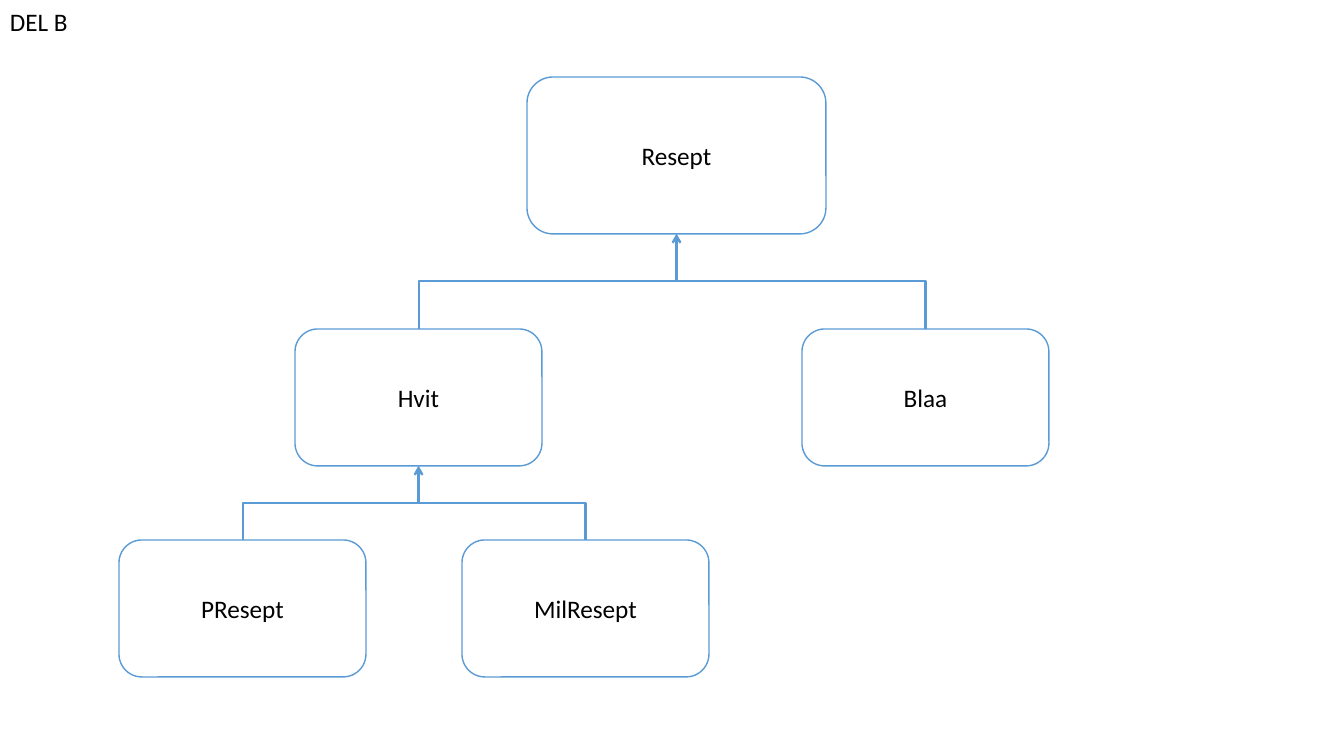
import pptx
import pptx.dml.color
import pptx.enum.shapes
import pptx.enum.text
import pptx.oxml
import pptx.oxml.ns
import pptx.util
from lxml import etree

PX = 914400 / 100.8
COLORS = {"fill": "FFFFFF", "line": "5B9BD5", "text": "000000"}
TOP, BOTTOM = 0, 2


def emu(px):
    return pptx.util.Emu(round(px * PX))


def write_label(frame, label):
    frame.text = label
    font = frame.paragraphs[0].runs[0].font
    font.name = "Calibri"
    font.size = pptx.util.Pt(18)
    font.color.rgb = pptx.dml.color.RGBColor.from_string(COLORS["text"])


deck = pptx.Presentation()
deck.slide_width, deck.slide_height = emu(1344), emu(756)
page = deck.slides.add_slide(deck.slide_layouts[6])
line_color = pptx.dml.color.RGBColor.from_string(COLORS["line"])

# Class boxes: name, left, top, width, height
classes = [
    ("Resept", 527, 77, 299, 157),
    ("PResept", 119, 540, 247, 137),
    ("Hvit", 295, 329, 247, 137),
    ("Blaa", 802, 329, 247, 137),
    ("MilResept", 462, 540, 247, 137),
]
boxes = {}
for name, left, top, width, height in classes:
    box = page.shapes.add_shape(
        pptx.enum.shapes.MSO_SHAPE.ROUNDED_RECTANGLE,
        emu(left), emu(top), emu(width), emu(height))
    box.shadow.inherit = False
    box.fill.solid()
    box.fill.fore_color.rgb = pptx.dml.color.RGBColor.from_string(COLORS["fill"])
    box.line.color.rgb = line_color
    box.line.width = pptx.util.Pt(1)
    write_label(box.text_frame, name)
    box.text_frame.vertical_anchor = pptx.enum.text.MSO_ANCHOR.MIDDLE
    box.text_frame.paragraphs[0].alignment = pptx.enum.text.PP_ALIGN.CENTER
    boxes[name] = box

# Inheritance arrows: subclass, superclass, arrowhead
arrows = [
    ("Blaa", "Resept", "triangle"),
    ("Hvit", "Resept", "arrow"),
    ("MilResept", "Hvit", "triangle"),
    ("PResept", "Hvit", "arrow"),
]
for child_name, parent_name, head in arrows:
    child, parent = boxes[child_name], boxes[parent_name]
    start_x, start_y = child.left + child.width // 2, child.top
    end_x, end_y = parent.left + parent.width // 2, parent.top + parent.height
    arrow = page.shapes.add_connector(
        pptx.enum.shapes.MSO_CONNECTOR.ELBOW, start_x, start_y, end_x, end_y)
    arrow.begin_connect(child, TOP)
    arrow.end_connect(parent, BOTTOM)

    # A vertical elbow is a horizontal one turned by a quarter about its centre
    rise, run = start_y - end_y, abs(start_x - end_x)
    arrow.left = (start_x + end_x - rise) // 2
    arrow.top = (start_y + end_y - run) // 2
    arrow.width, arrow.height = rise, run
    from_left = start_x < end_x
    frame = arrow._element.spPr.find(pptx.oxml.ns.qn("a:xfrm"))
    frame.set("rot", str((90 if from_left else 270) * 60000))
    frame.set("flipH", "1" if from_left else "0")
    frame.set("flipV", "1")

    arrow.line.color.rgb = line_color
    arrow.line.width = pptx.util.Pt(1.5)
    outline = arrow.line._get_or_add_ln()
    etree.SubElement(outline, pptx.oxml.ns.qn("a:tailEnd"), type=head)
    etree.SubElement(arrow._element.spPr, pptx.oxml.ns.qn("a:effectLst"))

heading = page.shapes.add_textbox(emu(0), emu(1), emu(103), emu(40))
heading.text_frame.word_wrap = True
heading.text_frame.auto_size = pptx.enum.text.MSO_AUTO_SIZE.SHAPE_TO_FIT_TEXT
write_label(heading.text_frame, "DEL B")

deck.save("out.pptx")
